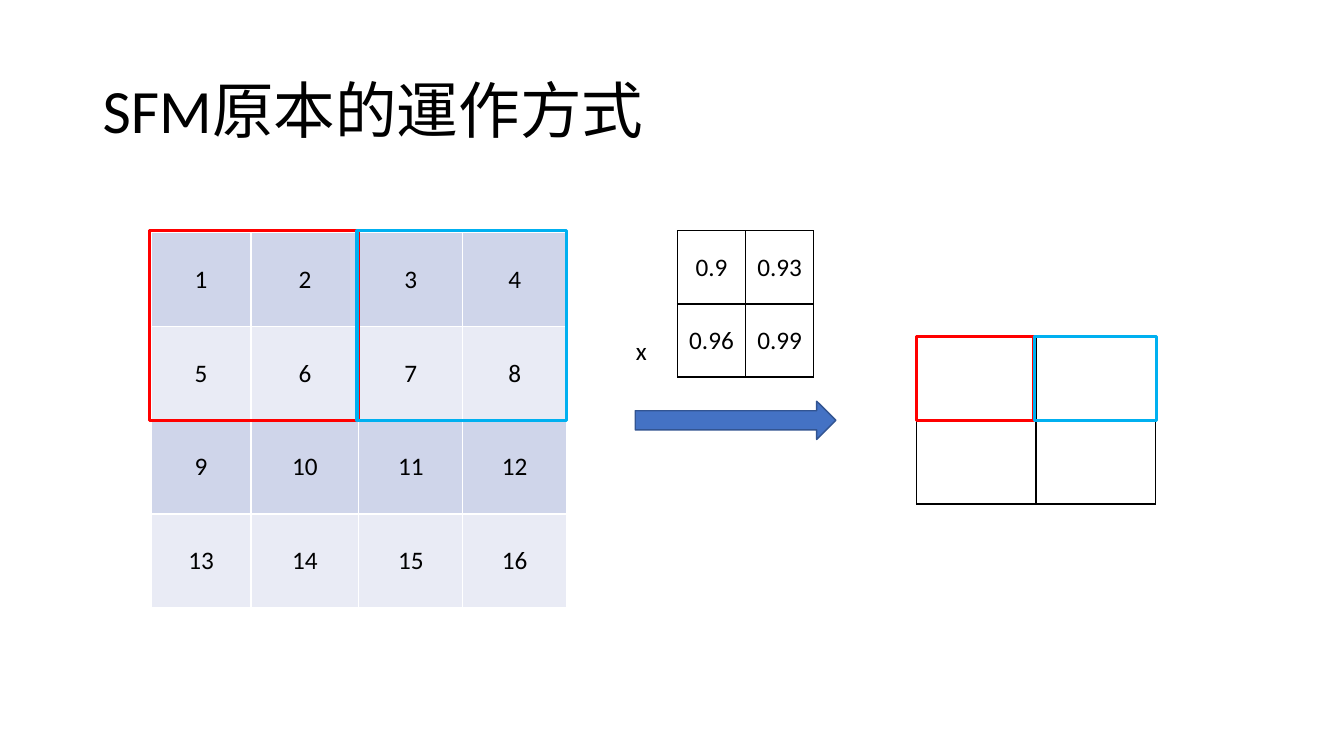
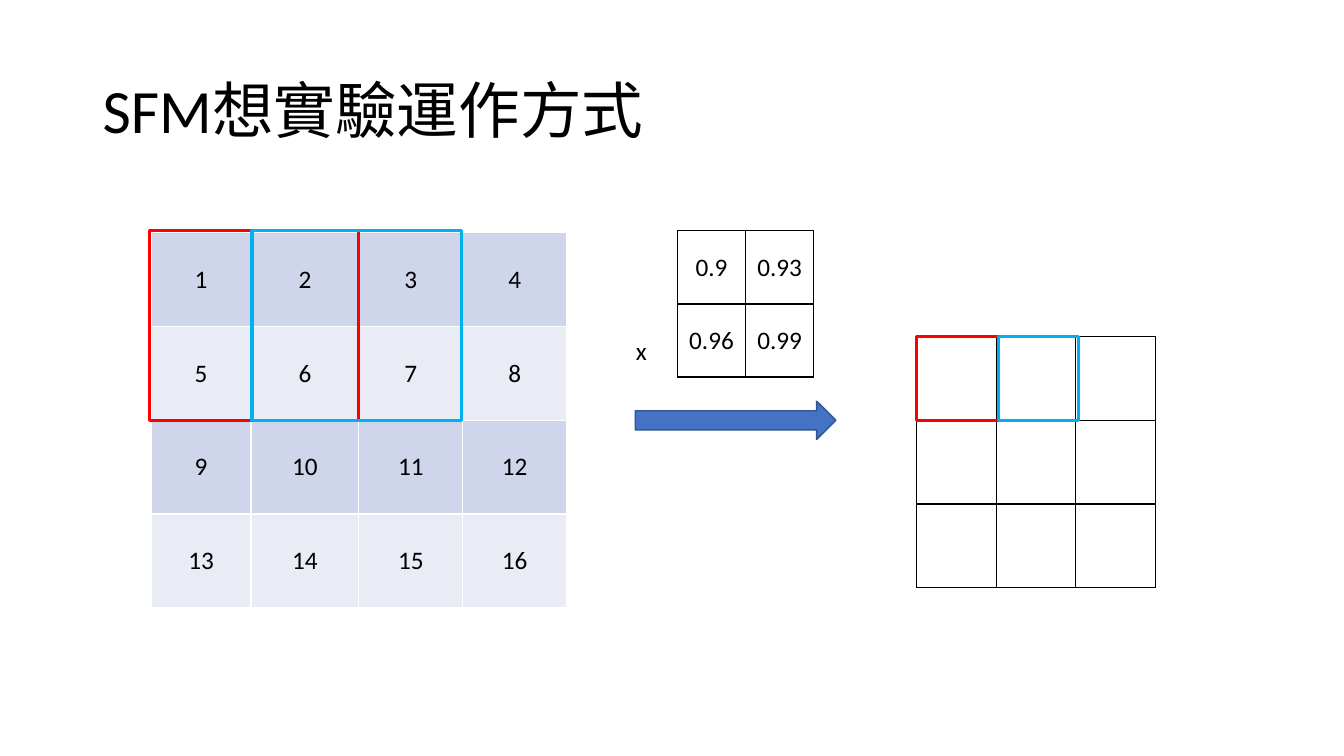
from lxml import etree
from pptx import Presentation
from pptx.dml.color import RGBColor
from pptx.enum.shapes import MSO_SHAPE
from pptx.enum.text import MSO_ANCHOR, PP_ALIGN
from pptx.oxml.ns import qn
from pptx.util import Inches, Pt

RECT = MSO_SHAPE.RECTANGLE
ARROW = MSO_SHAPE.RIGHT_ARROW
MIDDLE = MSO_ANCHOR.MIDDLE
TOP = MSO_ANCHOR.TOP
CENTER = PP_ALIGN.CENTER

FONT = "Calibri"
BLACK, WHITE = "000000", "FFFFFF"
RED, CYAN = "FF0000", "00B0F0"
BLUE, NAVY = "4472C4", "325491"
BANDS = ["CFD5EA", "E9EBF5"]

INPUT = [[str(4 * row + col) for col in range(1, 5)] for row in range(4)]
WEIGHTS = [["0.9", "0.93"], ["0.96", "0.99"]]


def color(code):
    return RGBColor.from_string(code)


def style(frame, size):
    for para in frame.paragraphs:
        for run in para.runs:
            run.font.name = FONT
            run.font.size = Pt(size)
            run.font.color.rgb = color(BLACK)


def add_text(slide, text, box, size, anchor=TOP, wrap=True):
    frame = slide.shapes.add_textbox(*map(Inches, box)).text_frame
    frame.word_wrap = wrap
    frame.vertical_anchor = anchor
    frame.text = text
    style(frame, size)
    return frame


def add_title(slide, text):
    frame = add_text(slide, text, (0.92, 0.4, 11.5, 1.45), 44, MIDDLE)
    frame.paragraphs[0].line_spacing = 0.9


def add_form(slide, kind, box, line, width, fill=None):
    form = slide.shapes.add_shape(kind, *map(Inches, box))
    form.shadow.inherit = False
    if fill:
        form.fill.solid()
        form.fill.fore_color.rgb = color(fill)
    else:
        form.fill.background()
    form.line.color.rgb = color(line)
    form.line.width = Pt(width)


def add_frames(slide, boxes):
    for box, line in zip(boxes, (RED, CYAN)):
        add_form(slide, RECT, box, line, 2.25)


def set_border(cell, line):
    props = cell._tc.get_or_add_tcPr()
    for side in ("a:lnL", "a:lnR", "a:lnT", "a:lnB"):
        edge = etree.SubElement(props, qn(side), w=str(Pt(1)))
        fill = etree.SubElement(edge, qn("a:solidFill"))
        etree.SubElement(fill, qn("a:srgbClr"), val=line)


def add_grid(slide, rows, at, widths, height, line, bands=None):
    size = (sum(widths), height * len(rows))
    table = slide.shapes.add_table(
        len(rows), len(widths), *map(Inches, at + size)).table
    table.first_row = table.horz_banding = False
    for col, width in zip(table.columns, widths):
        col.width = Inches(width)
    for r, row in enumerate(rows):
        table.rows[r].height = Inches(height)
        for c, text in enumerate(row):
            cell = table.cell(r, c)
            set_border(cell, line)
            if bands:
                cell.fill.solid()
                cell.fill.fore_color.rgb = color(bands[r % len(bands)])
            else:
                cell.fill.background()
            cell.vertical_anchor = MIDDLE
            if text:
                cell.text_frame.text = text
                cell.text_frame.paragraphs[0].alignment = CENTER
                style(cell.text_frame, 18)


def add_page(deck, title, shift, count, marks):
    slide = deck.slides.add_slide(deck.slide_layouts[6])
    add_title(slide, title)
    add_grid(slide, INPUT, (1.5, 2.31), [0.99, 1.07, 1.03, 1.03], 0.93,
             WHITE, BANDS)
    add_frames(slide, [(x, 2.29, 2.08, 1.88) for x in (1.48, shift)])
    add_form(slide, ARROW, (6.3, 3.98, 1.99, 0.38), NAVY, 1, BLUE)
    add_grid(slide, WEIGHTS, (6.72, 2.29), [1.35 / 2] * 2, 1.45 / 2, BLACK)
    blank = [[""] * count] * count
    add_grid(slide, blank, (9.09, 3.34), [2.37 / count] * count, 0.83, BLACK)
    add_frames(slide, [(x, 3.34, width, 0.83) for x, width in marks])
    add_text(slide, "x", (6.21, 3.28, 0.4, 0.4), 18, wrap=False)


def main():
    deck = Presentation()
    deck.slide_width = Inches(13.33)
    deck.slide_height = Inches(7.5)
    add_page(deck, "SFM原本的運作方式", 3.54, 2,
             [(9.09, 1.16), (10.26, 1.21)])
    add_page(deck, "SFM想實驗運作方式", 2.5, 3,
             [(9.09, 0.81), (9.9, 0.8)])
    deck.save("out.pptx")


if __name__ == "__main__":
    main()
